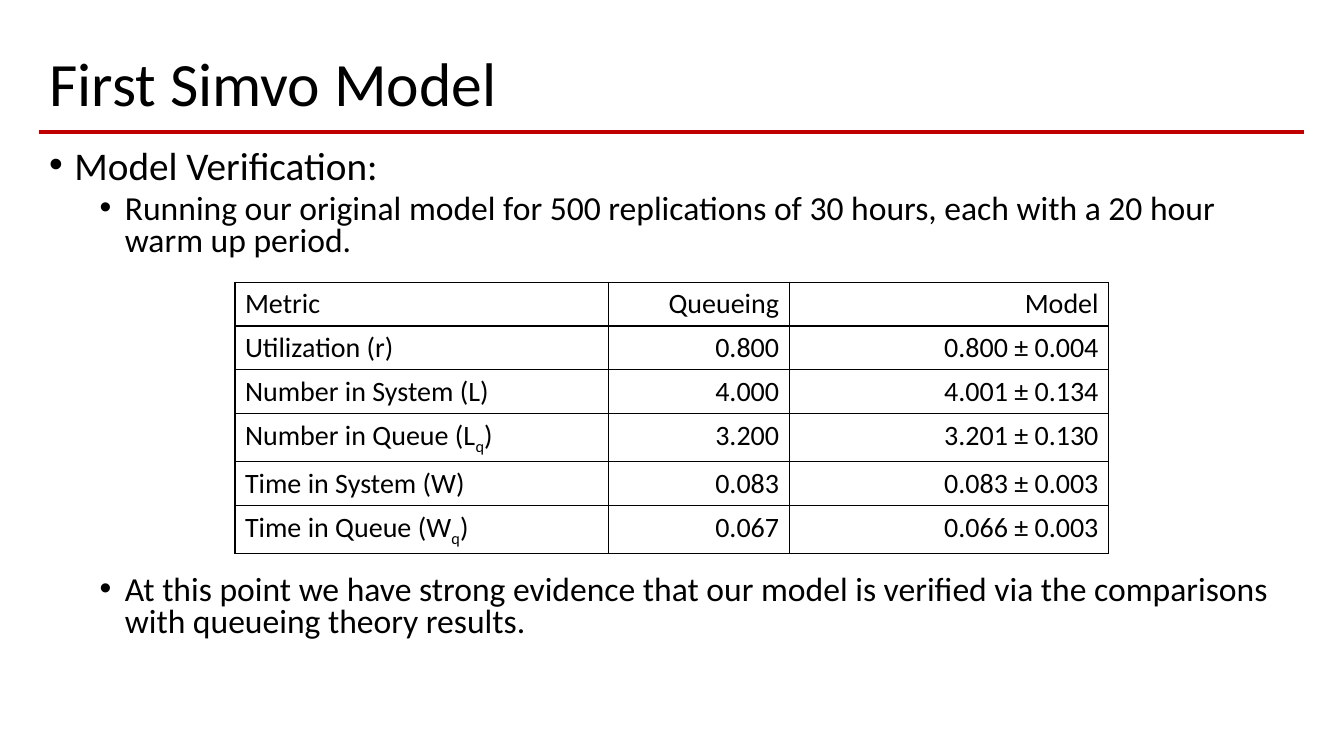
"""Build a slide that verifies a simulation model against queueing theory."""
from lxml import etree
from pptx import Presentation
from pptx.dml.color import RGBColor
from pptx.enum import shapes, text
from pptx.oxml import ns
from pptx.util import Pt

COLORS = {"ink": "000000", "rule": "C00000"}
FONT = "Calibri"
LEFT, WIDTH = 28.1, 903.6
BULLETS = {
    0: {"size": 28, "margin": 18, "before": 10},
    1: {"size": 24, "margin": 54, "before": 5},
}
COLUMNS = [267.1, 128.9, 228.2]
ROW_HEIGHT = 29.5
METRICS = [
    ("Metric", "Queueing", "Model"),
    ("Utilization (r)", "0.800", "0.800 ± 0.004"),
    ("Number in System (L)", "4.000", "4.001 ± 0.134"),
    (("Number in Queue (L", "q", ")"), "3.200", "3.201 ± 0.130"),
    ("Time in System (W)", "0.083", "0.083 ± 0.003"),
    (("Time in Queue (W", "q", ")"), "0.067", "0.066 ± 0.003"),
]


def apply_format(target, values):
    """Set each attribute of the target from a dict."""
    for name, value in values.items():
        setattr(target, name, value)


def add_span(para, wording, size, subscript=False):
    """Add a run in the slide font."""
    span = para.add_run()
    span.text = wording
    apply_format(span.font, {"name": FONT, "size": Pt(size), "bold": False})
    span.font.color.rgb = RGBColor.from_string(COLORS["ink"])
    if subscript:
        span.font._element.set("baseline", "-25000")


def add_box(page, top, height, anchor):
    """Add a full-width text box and return its text frame."""
    box = page.shapes.add_textbox(Pt(LEFT), Pt(top), Pt(WIDTH), Pt(height))
    apply_format(box.text_frame, {"word_wrap": True, "vertical_anchor": anchor})
    return box.text_frame


def add_title(page, wording):
    """Add the slide title."""
    para = add_box(page, 28.8, 66.2, text.MSO_ANCHOR.MIDDLE).paragraphs[0]
    para.line_spacing = 0.9
    add_span(para, wording, 44)


def add_rule(page, top):
    """Draw the line below the title."""
    rule = page.shapes.add_connector(
        shapes.MSO_CONNECTOR.STRAIGHT, Pt(LEFT), Pt(top), Pt(LEFT + WIDTH), Pt(top))
    rule.line.color.rgb = RGBColor.from_string(COLORS["rule"])
    rule.line.width = Pt(2.25)
    etree.SubElement(rule._element.spPr, ns.qn("a:effectLst"))


def add_bullets(page, top, height, items):
    """Add a box of bulleted paragraphs given as level and wording."""
    frame = add_box(page, top, height, text.MSO_ANCHOR.TOP)
    for index, (level, wording) in enumerate(items):
        style = BULLETS[level]
        para = frame.add_paragraph() if index else frame.paragraphs[0]
        properties = para._p.get_or_add_pPr()
        properties.set("marL", str(Pt(style["margin"])))
        properties.set("indent", str(Pt(-18)))
        etree.SubElement(properties, ns.qn("a:buFont"), typeface="Arial")
        etree.SubElement(properties, ns.qn("a:buChar"), char="•")
        before = Pt(style["before"] if index else 0)
        apply_format(para, {"level": level, "line_spacing": 0.8, "space_before": before})
        add_span(para, wording, style["size"])


def add_borders(cell):
    """Outline a cell on all four sides."""
    properties = cell._tc.get_or_add_tcPr()
    for side in ("lnL", "lnR", "lnT", "lnB"):
        line = etree.SubElement(properties, ns.qn(f"a:{side}"), w=str(Pt(1)))
        fill = etree.SubElement(line, ns.qn("a:solidFill"))
        etree.SubElement(fill, ns.qn("a:srgbClr"), val=COLORS["ink"])


def fill_cell(cell, content, align):
    """Write a cell whose second part, if any, is a subscript."""
    add_borders(cell)
    cell.fill.background()
    para = cell.text_frame.paragraphs[0]
    para.alignment = align
    parts = (content,) if isinstance(content, str) else content
    for index, part in enumerate(parts):
        add_span(para, part, 20, subscript=index == 1)


def add_metrics(page, left, top):
    """Add the table of metrics."""
    table = page.shapes.add_table(
        len(METRICS), len(COLUMNS), Pt(left), Pt(top),
        Pt(sum(COLUMNS)), Pt(ROW_HEIGHT * len(METRICS))).table
    apply_format(table, {"first_row": False, "horz_banding": False})
    for column, width in zip(table.columns, COLUMNS):
        column.width = Pt(width)
    for row, values in zip(table.rows, METRICS):
        row.height = Pt(ROW_HEIGHT)
        for index, (cell, content) in enumerate(zip(row.cells, values)):
            align = text.PP_ALIGN.RIGHT if index else text.PP_ALIGN.LEFT
            fill_cell(cell, content, align)


def main():
    """Build and save the deck."""
    deck = Presentation()
    apply_format(deck, {"slide_width": Pt(960), "slide_height": Pt(540)})
    page = deck.slides.add_slide(deck.slide_layouts[6])
    add_rule(page, 94.3)
    add_title(page, "First Simvo Model")
    add_bullets(page, 103.7, 90, [
        (0, "Model Verification:"),
        (1, "Running our original model for 500 replications of 30 hours, "
            "each with a 20 hour warm up period."),
    ])
    add_metrics(page, 167.8, 201.6)
    add_bullets(page, 407.5, 60, [
        (1, "At this point we have strong evidence that our model is verified "
            "via the comparisons with queueing theory results."),
    ])
    deck.save("out.pptx")


if __name__ == "__main__":
    main()
